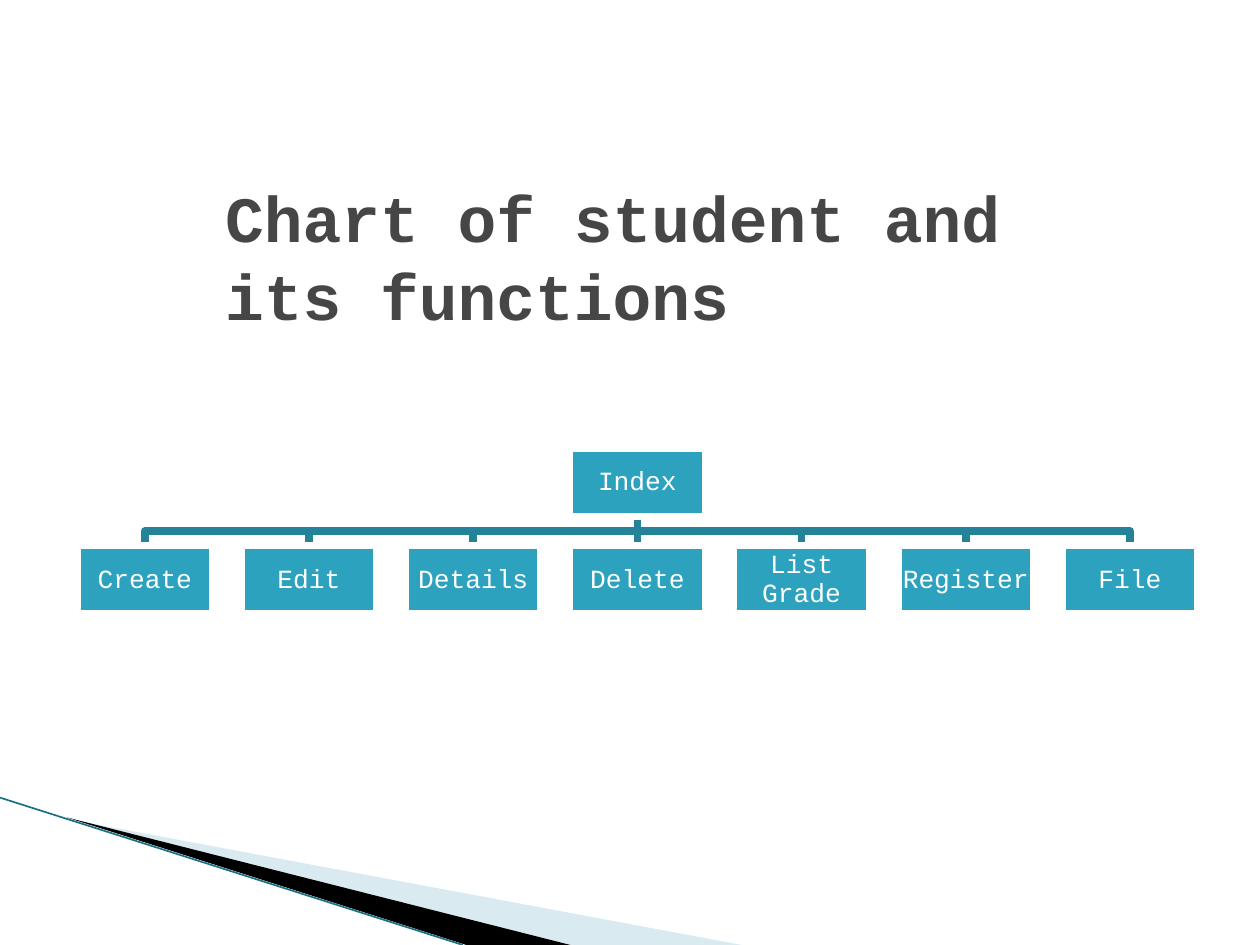
from lxml import etree
from pptx import Presentation
from pptx.dml.color import RGBColor
from pptx.enum.shapes import MSO_CONNECTOR, MSO_SHAPE
from pptx.enum.text import MSO_ANCHOR, PP_ALIGN
from pptx.oxml.ns import qn
from pptx.util import Cm, Pt

STRAIGHT = MSO_CONNECTOR.STRAIGHT
RECTANGLE = MSO_SHAPE.RECTANGLE
MIDDLE = MSO_ANCHOR.MIDDLE
CENTER = PP_ALIGN.CENTER
TOP_SIDE, BOTTOM_SIDE = 0, 2

COLORS = {
    "title": "464646",
    "box": "2DA2BF",
    "branch": "248299",
    "white": "FFFFFF",
    "pale": "A0CBDC",
    "black": "000000",
    "edge": "1A7186",
}
FUNCTIONS = ["Create", "Edit", "Details", "Delete", "List Grade", "Register", "File"]

# Chart grid in centimetres
BOX_WIDTH, BOX_HEIGHT = 2.74, 1.37
FIRST_LEFT, STEP = 1.55, 3.31
INDEX_TOP, FUNCTION_TOP = 9.04, 11.0
INDEX_BOTTOM = INDEX_TOP + BOX_HEIGHT
BUS = (INDEX_BOTTOM + FUNCTION_TOP) / 2
MIDDLE_COLUMN = len(FUNCTIONS) // 2


def rgb(name):
    return RGBColor.from_string(COLORS[name])


def column_left(column):
    return FIRST_LEFT + column * STEP


def column_center(column):
    return column_left(column) + BOX_WIDTH / 2


class Painter:
    """Draws on one page in the house style; lengths are centimetres."""

    font = "Courier New"
    line_width = 4.33

    def __init__(self, page):
        self.shapes = page.shapes

    def set_line(self, line, color, width):
        line.color.rgb = rgb(color)
        line.width = Pt(width)

    def set_text(self, frame, text, size, color, bold=False):
        frame.word_wrap = True
        frame.vertical_anchor = MIDDLE
        para = frame.paragraphs[0]
        para.text = text
        para.font.name = self.font
        para.font.size = Pt(size)
        para.font.bold = bold
        para.font.color.rgb = rgb(color)
        return para

    def outline(self, points, close):
        start, *rest = [(Cm(x), Cm(y)) for x, y in points]
        builder = self.shapes.build_freeform(*start)
        builder.add_line_segments(rest, close=close)
        shape = builder.convert_to_shape()
        shape.shadow.inherit = False
        return shape

    def wedge(self, points, color, opacity=100):
        shape = self.outline(points, close=True)
        shape.fill.solid()
        shape.fill.fore_color.rgb = rgb(color)
        shape.line.fill.background()
        if opacity < 100:
            tint = shape.fill._xPr.find(".//" + qn("a:srgbClr"))
            etree.SubElement(tint, qn("a:alpha"), val=str(opacity * 1000))

    def branch(self, points):
        shape = self.outline(points, close=False)
        shape.fill.background()
        self.set_line(shape.line, "branch", self.line_width)

    def connector(self, start, end, color, width):
        line = self.shapes.add_connector(STRAIGHT, *map(Cm, start + end))
        etree.SubElement(line._element.spPr, qn("a:effectLst"))
        self.set_line(line.line, color, width)
        return line

    def title(self, text, left, top, width, height):
        box = self.shapes.add_textbox(*map(Cm, (left, top, width, height)))
        self.set_text(box.text_frame, text, 36.9, "title", bold=True)

    def box(self, text, left, top):
        box = self.shapes.add_shape(
            RECTANGLE, *map(Cm, (left, top, BOX_WIDTH, BOX_HEIGHT)))
        box.shadow.inherit = False
        box.fill.solid()
        box.fill.fore_color.rgb = rgb("box")
        self.set_line(box.line, "white", self.line_width)
        frame = box.text_frame
        frame.margin_left = frame.margin_right = Cm(0.03)
        frame.margin_top = frame.margin_bottom = Cm(0.03)
        para = self.set_text(frame, text, 15, "white")
        para.alignment = CENTER
        para.line_spacing = 0.9
        return box


def draw_corner(painter):
    painter.wedge([(1.4, 16.52), (14.95, 19.05), (11.5, 19.05)], "pale", opacity=40)
    painter.wedge([(1.35, 16.48), (11.5, 19.05), (9.4, 19.05)], "black")
    painter.connector((0, 16.08), (9.33, 19.05), "edge", 0.95)


def draw_chart(painter):
    """Draw the lines first so that the white box borders cover their ends."""
    root_x = column_center(MIDDLE_COLUMN)
    for column in range(len(FUNCTIONS)):
        if column != MIDDLE_COLUMN:
            x = column_center(column)
            painter.branch([(root_x, INDEX_BOTTOM), (root_x, BUS),
                            (x, BUS), (x, FUNCTION_TOP)])
    stem = painter.connector((root_x, INDEX_BOTTOM), (root_x, FUNCTION_TOP),
                             "branch", painter.line_width)

    index_box = painter.box("Index", column_left(MIDDLE_COLUMN), INDEX_TOP)
    function_boxes = [painter.box(name, column_left(column), FUNCTION_TOP)
                      for column, name in enumerate(FUNCTIONS)]
    stem.begin_connect(index_box, BOTTOM_SIDE)
    stem.end_connect(function_boxes[MIDDLE_COLUMN], TOP_SIDE)


def main():
    deck = Presentation()
    deck.slide_width, deck.slide_height = Cm(25.4), Cm(19.05)
    painter = Painter(deck.slides.add_slide(deck.slide_layouts[6]))
    draw_corner(painter)
    painter.title("Chart of student and its functions", 4.29, 4.06, 16.74, 2.18)
    draw_chart(painter)
    deck.save("out.pptx")


if __name__ == "__main__":
    main()
